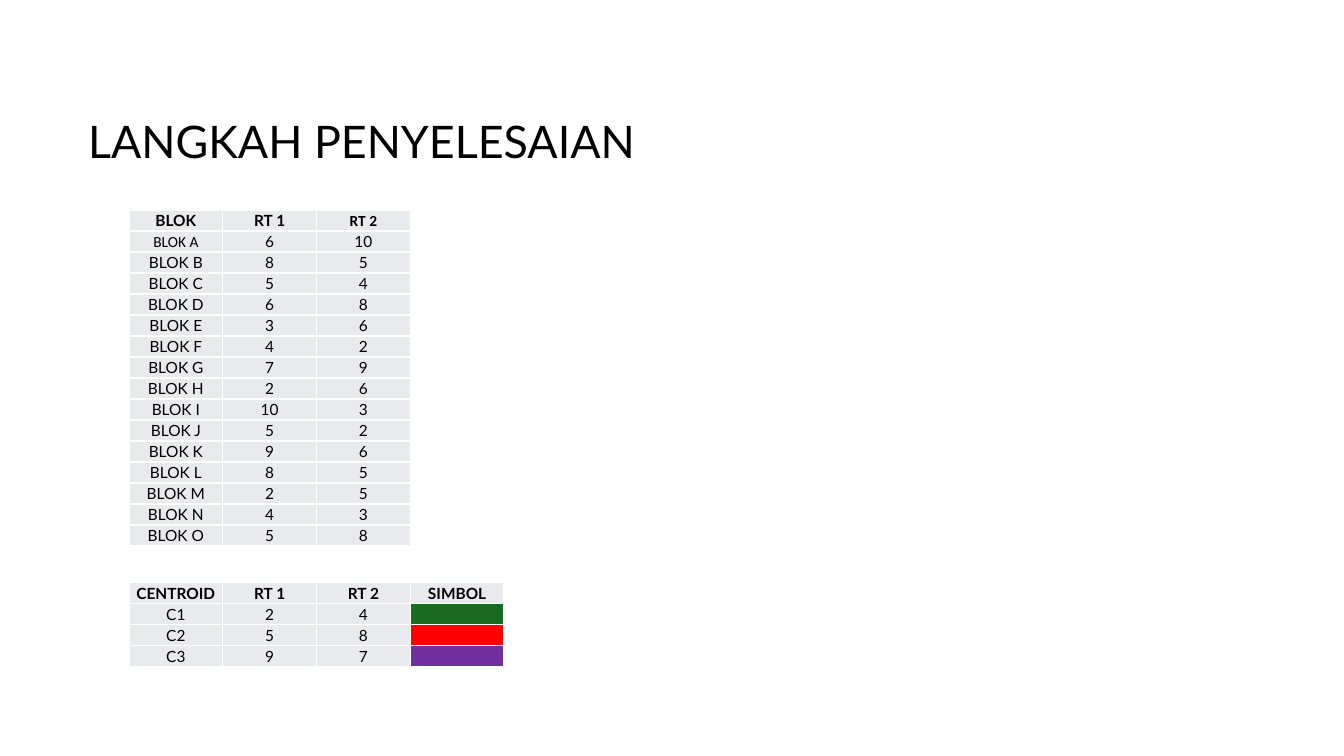
from lxml.etree import SubElement
from pptx import Presentation
from pptx.dml.color import RGBColor
from pptx.enum.text import MSO_ANCHOR, MSO_AUTO_SIZE, PP_ALIGN
from pptx.oxml.ns import qn
from pptx.util import Inches, Pt

WIDTH, HEIGHT = Inches(13.33), Inches(7.5)
COLUMN, ROW = Inches(0.93), HEIGHT // 36
TABLE_LEFT = int(WIDTH * 0.096)

BLACK = RGBColor(0x00, 0x00, 0x00)
WHITE = RGBColor(0xFF, 0xFF, 0xFF)
GREY = RGBColor(0xE8, 0xEA, 0xED)
GREEN = RGBColor(0x19, 0x6B, 0x24)
RED = RGBColor(0xFF, 0x00, 0x00)
PURPLE = RGBColor(0x70, 0x30, 0xA0)

FONT, SECOND_FONT = "Lato", "Calibri"
CELL_SIZE = 11

BLOCK_VALUES = [
    (6, 10), (8, 5), (5, 4), (6, 8), (3, 6), (4, 2), (7, 9), (2, 6),
    (10, 3), (5, 2), (9, 6), (8, 5), (2, 5), (4, 3), (5, 8),
]
BLOCKS = [("BLOK", "RT 1", "RT 2")] + [
    (f"BLOK {letter}", *values)
    for letter, values in zip("ABCDEFGHIJKLMNO", BLOCK_VALUES)
]
CENTROIDS = [
    ("CENTROID", "RT 1", "RT 2", "SIMBOL"),
    ("C1", 2, 4, GREEN),
    ("C2", 5, 8, RED),
    ("C3", 9, 7, PURPLE),
]


def set_font(paragraph, size, bold=False, name=FONT):
    font = paragraph.font
    font.name, font.size, font.bold = name, Pt(size), bold
    font.color.rgb = BLACK


def add_title(slide, text):
    title = slide.shapes.title
    title.left, title.top = int(WIDTH * 0.058), int(HEIGHT * 0.145)
    title.width, title.height = int(WIDTH * 0.898), int(HEIGHT * 0.084)
    frame = title.text_frame
    frame.text = text
    frame.word_wrap = True
    frame.auto_size = MSO_AUTO_SIZE.NONE
    frame.vertical_anchor = MSO_ANCHOR.BOTTOM
    paragraph = frame.paragraphs[0]
    paragraph.alignment = PP_ALIGN.JUSTIFY
    paragraph.line_spacing = 0.9
    set_font(paragraph, 32)


def add_borders(cell):
    properties = cell._tc.get_or_add_tcPr()
    for position, side in enumerate(("lnL", "lnR", "lnT", "lnB")):
        line = properties.makeelement(qn(f"a:{side}"), {"w": str(Pt(1))})
        fill = SubElement(line, qn("a:solidFill"))
        SubElement(fill, qn("a:srgbClr"), val=str(WHITE))
        properties.insert(position, line)


def format_cell(cell, value, bold, font_name):
    is_swatch = isinstance(value, RGBColor)
    cell.fill.solid()
    cell.fill.fore_color.rgb = value if is_swatch else GREY
    add_borders(cell)
    cell.margin_left = cell.margin_right = cell.margin_top = Inches(0.01)
    cell.margin_bottom = 0
    cell.vertical_anchor = MSO_ANCHOR.MIDDLE
    if not is_swatch:
        cell.text = str(value)
    paragraph = cell.text_frame.paragraphs[0]
    paragraph.alignment = PP_ALIGN.CENTER
    set_font(paragraph, CELL_SIZE, bold, font_name)
    if is_swatch:
        # Keeps the empty row as low as the others
        SubElement(paragraph._p, qn("a:endParaRPr"), sz=str(CELL_SIZE * 100))


def add_data_table(slide, top, rows, second_font_cells=()):
    row_count, column_count = len(rows), len(rows[0])
    table = slide.shapes.add_table(
        row_count, column_count, TABLE_LEFT, top,
        COLUMN * column_count, ROW * row_count,
    ).table
    table.first_row = table.horz_banding = False
    for row_index, row in enumerate(rows):
        for column_index, value in enumerate(row):
            in_second_font = (row_index, column_index) in second_font_cells
            format_cell(
                table.cell(row_index, column_index), value,
                bold=row_index == 0,
                font_name=SECOND_FONT if in_second_font else FONT,
            )


def main():
    presentation = Presentation()
    presentation.slide_width, presentation.slide_height = WIDTH, HEIGHT
    slide = presentation.slides.add_slide(presentation.slide_layouts[0])
    subtitle = slide.placeholders[1].element
    subtitle.getparent().remove(subtitle)

    add_title(slide, "LANGKAH PENYELESAIAN")

    # Block data, then the starting centroids
    add_data_table(slide, ROW * 10, BLOCKS, {(0, 2), (1, 0)})
    add_data_table(slide, int(HEIGHT * 0.771), CENTROIDS)

    presentation.save("out.pptx")


if __name__ == "__main__":
    main()
